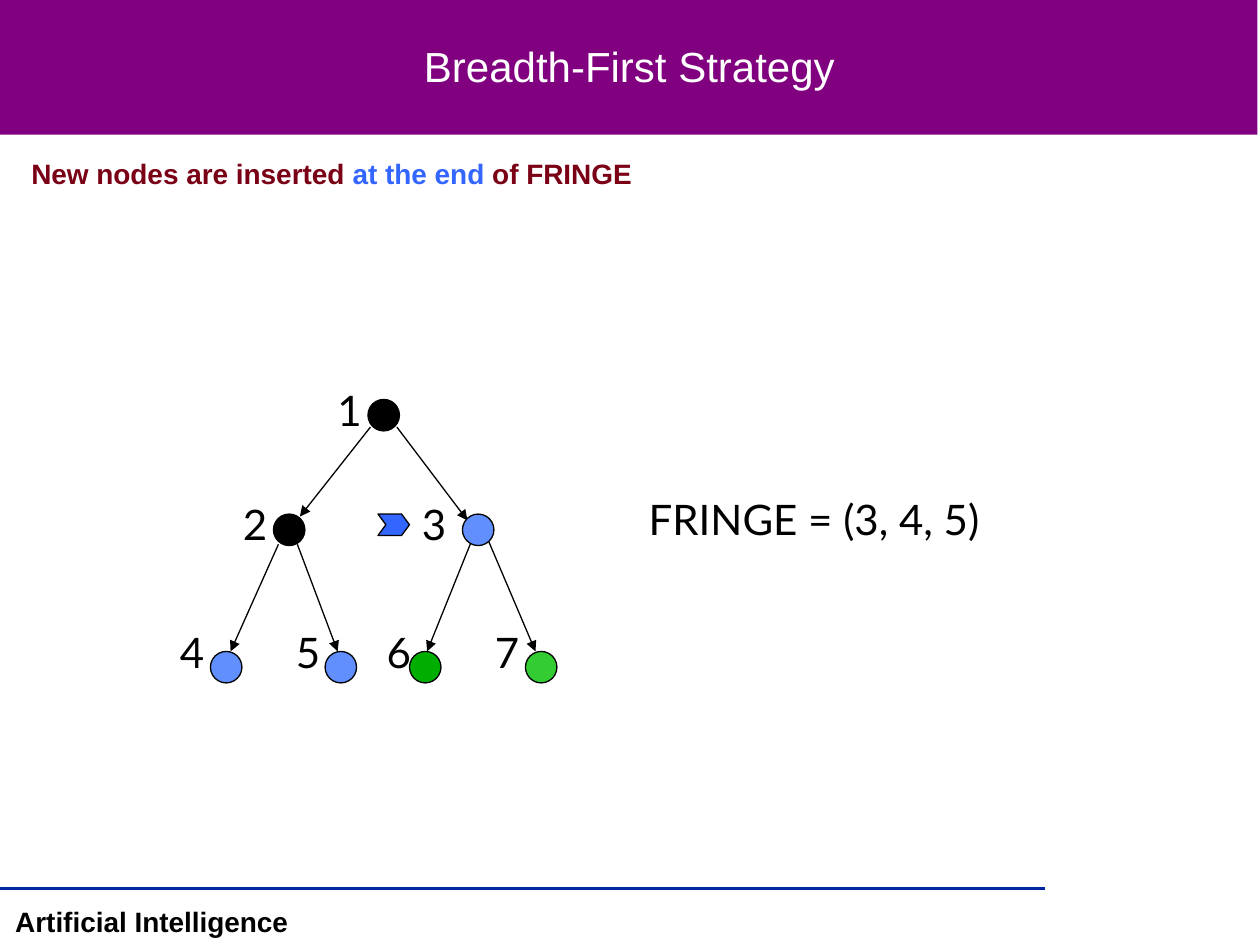
"""Build the breadth-first strategy slide with its search tree and fringe."""
from lxml.etree import SubElement
from pptx import Presentation
from pptx.dml.color import RGBColor
from pptx.enum.shapes import MSO_CONNECTOR, MSO_SHAPE
from pptx.enum.text import MSO_ANCHOR, MSO_AUTO_SIZE, PP_ALIGN
from pptx.oxml.ns import qn
from pptx.util import Inches, Pt

BLACK = RGBColor(0x00, 0x00, 0x00)
WHITE = RGBColor(0xFF, 0xFF, 0xFF)
PURPLE = RGBColor(0x80, 0x00, 0x80)
NAVY = RGBColor(0x00, 0x27, 0x9F)
MAROON = RGBColor(0x79, 0x00, 0x15)
BLUE = RGBColor(0x33, 0x66, 0xFF)
LIGHT_BLUE = RGBColor(0x61, 0x8F, 0xFD)
GREEN = RGBColor(0x00, 0xAE, 0x00)
LIGHT_GREEN = RGBColor(0x33, 0xCC, 0x33)

TITLE = "Breadth-First Strategy"
RULE = [("New nodes are inserted ", MAROON), ("at the end", BLUE), (" of FRINGE", MAROON)]
FRINGE = "FRINGE = (3, 4, 5)"
FOOTER = "Artificial Intelligence"

NODE_SIZE = 0.25
LABEL_SIZE = (0.39, 0.5)
LABEL_RISE = 0.25
NODES = [
    ("1", 2.92, 3.17, 2.58, BLACK),
    ("2", 2.17, 4.08, 1.83, BLACK),
    ("3", 3.67, 4.08, 3.25, LIGHT_BLUE),
    ("4", 1.67, 5.17, 1.33, LIGHT_BLUE),
    ("5", 2.58, 5.17, 2.25, LIGHT_BLUE),
    ("6", 3.25, 5.17, 2.97, GREEN),
    ("7", 4.17, 5.17, 3.83, LIGHT_GREEN),
]
EDGES = [
    (2.94, 3.39, 2.38, 4.1),
    (3.15, 3.39, 3.71, 4.13),
    (2.21, 4.32, 1.83, 5.17),
    (2.36, 4.32, 2.68, 5.17),
    (3.74, 4.3, 3.39, 5.17),
    (3.88, 4.3, 4.25, 5.17),
]


def set_font(font, size, color, name="Arial", bold=False):
    font.name, font.size, font.bold = name, Pt(size), bold
    font.color.rgb = color


def add_shape(s, kind, box, fill, line=None):
    sp = s.shapes.add_shape(kind, *map(Inches, box))
    sp.shadow.inherit = False
    sp.fill.solid()
    sp.fill.fore_color.rgb = fill
    if line is None:
        sp.line.fill.background()
    else:
        sp.line.color.rgb = line
        sp.line.width = Pt(0.75)
    return sp


def add_line(s, ends, color, width, arrow=False):
    cxn = s.shapes.add_connector(MSO_CONNECTOR.STRAIGHT, *map(Inches, ends))
    cxn.line.color.rgb = color
    cxn.line.width = Pt(width)
    if arrow:
        SubElement(cxn.line._get_or_add_ln(), qn("a:tailEnd"), type="triangle")
    SubElement(cxn.element.spPr, qn("a:effectLst"))


def add_text(s, box, runs, size, name="Arial", bold=False, align=PP_ALIGN.LEFT):
    tf = s.shapes.add_textbox(*map(Inches, box)).text_frame
    tf.word_wrap = False
    tf.auto_size = MSO_AUTO_SIZE.SHAPE_TO_FIT_TEXT
    p = tf.paragraphs[0]
    p.alignment = align
    set_font(p.font, size, runs[0][1], name, bold)
    for text, color in runs:
        r = p.add_run()
        r.text = text
        set_font(r.font, size, color, name, bold)


def add_title(s):
    title = s.shapes.title
    title.left, title.top, title.width, title.height = map(Inches, (0.02, 0.01, 9.95, 1.02))
    tf = title.text_frame
    tf.text = TITLE
    tf.vertical_anchor = MSO_ANCHOR.MIDDLE
    p = tf.paragraphs[0]
    p.alignment = PP_ALIGN.CENTER
    set_font(p.font, 24, WHITE)
    banner = add_shape(s, MSO_SHAPE.RECTANGLE, (0, 0, 9.98, 1.07), PURPLE)
    title.element.addprevious(banner.element)


def add_tree(s):
    for edge in EDGES:
        add_line(s, edge, BLACK, 0.75, arrow=True)
    for label, x, y, label_x, fill in NODES:
        label_y = y - LABEL_RISE if y > 4.5 else y - 0.17
        add_text(s, (label_x, label_y, *LABEL_SIZE), [(label, BLACK)], 24, "Lato")
        add_shape(s, MSO_SHAPE.OVAL, (x, y, NODE_SIZE, NODE_SIZE), fill, BLACK)
    marker = add_shape(s, MSO_SHAPE.CHEVRON, (3, 4.08, 0.25, 0.17), BLUE, BLACK)
    marker.adjustments[0] = 0.37


def main():
    prs = Presentation()
    prs.slide_width, prs.slide_height = Inches(10), Inches(7.5)
    s = prs.slides.add_slide(prs.slide_layouts[5])
    add_title(s)
    add_line(s, (0, 7.05, 8.29, 7.05), NAVY, 2)
    add_text(s, (0.02, 7.13, 2.37, 0.37), [(FOOTER, BLACK)], 16, bold=True, align=PP_ALIGN.CENTER)
    add_text(s, (0.15, 1.19, 4.98, 0.37), RULE, 16, bold=True)
    add_text(s, (5.05, 3.87, 2.86, 0.5), [(FRINGE, BLACK)], 24, "Lato")
    add_tree(s)
    prs.save("out.pptx")


if __name__ == "__main__":
    main()
